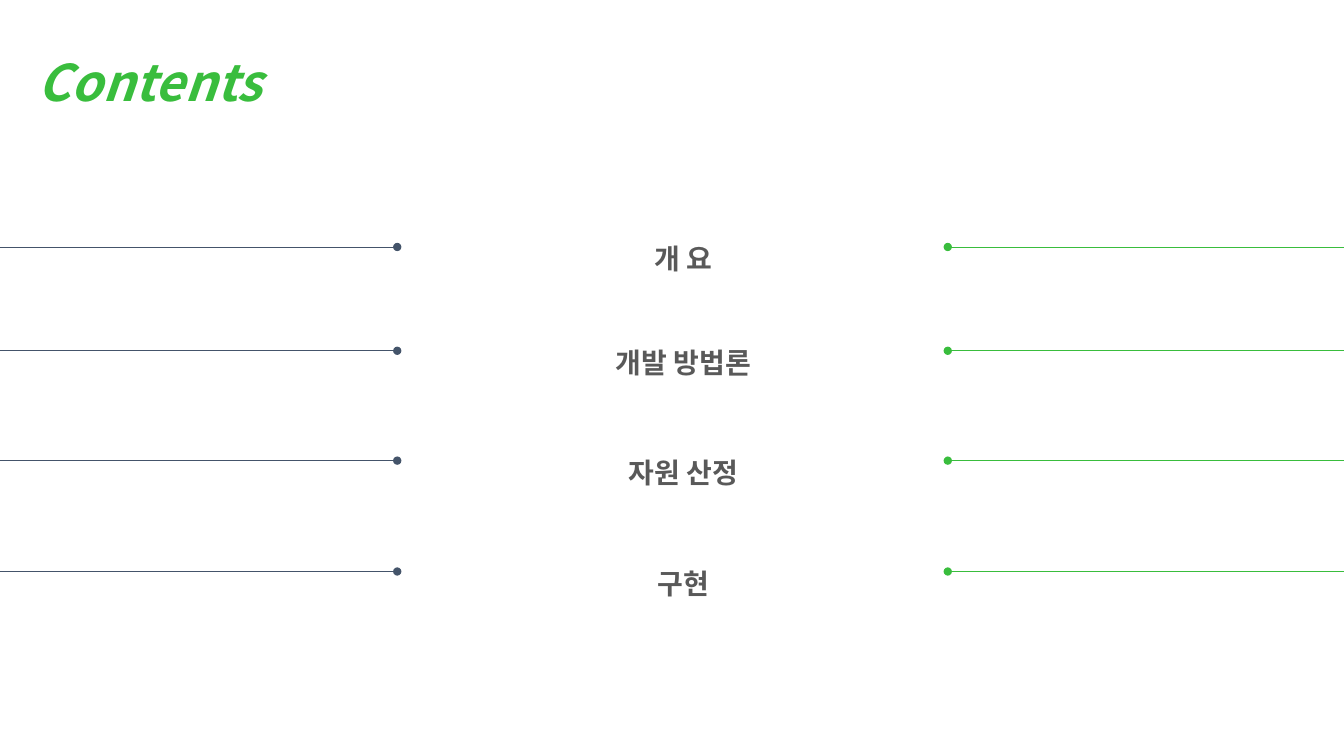
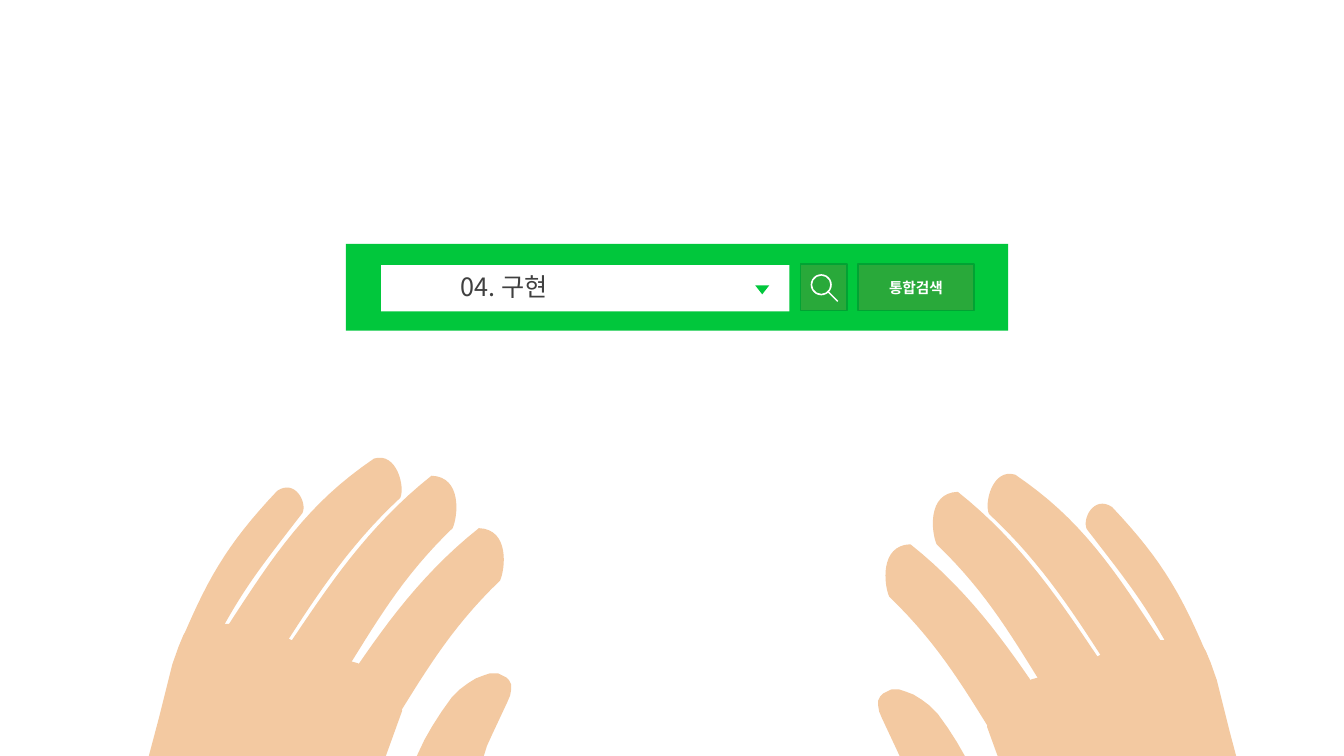
from dataclasses import dataclass

from lxml import etree
from pptx import Presentation
from pptx.dml.color import RGBColor
from pptx.enum.shapes import MSO_CONNECTOR, MSO_SHAPE
from pptx.enum.text import MSO_ANCHOR, MSO_AUTO_SIZE, PP_ALIGN
from pptx.oxml.ns import qn
from pptx.util import Pt

PX = 9144
SLIDE_W, SLIDE_H = 1333, 750
TITLE_ONLY = 5
STRAIGHT = MSO_CONNECTOR.STRAIGHT
RECT, DONUT, TRIANGLE = MSO_SHAPE.RECTANGLE, MSO_SHAPE.DONUT, MSO_SHAPE.ISOSCELES_TRIANGLE
TOP, MIDDLE = MSO_ANCHOR.TOP, MSO_ANCHOR.MIDDLE
LEFT, CENTER = PP_ALIGN.LEFT, PP_ALIGN.CENTER
GROW = MSO_AUTO_SIZE.SHAPE_TO_FIT_TEXT


@dataclass(frozen=True)
class Theme:
    font: str = "Noto Sans CJK KR"
    white: str = "FFFFFF"
    accent: str = "39BD3D"
    navy: str = "44546A"
    label: str = "595959"
    query: str = "404040"
    bar: str = "01C73C"
    button: str = "29A93A"
    button_edge: str = "01A333"
    skin: str = "F3C9A1"
    title_size: float = 36
    label_size: float = 20
    query_size: float = 18
    button_size: float = 10.5
    rule_width: float = 0.5
    edge_width: float = 1


THEME = Theme()

TOPICS = [("개 요", 245), ("개발 방법론", 348), ("자원 산정", 457), ("구현", 567)]

POINTER = [
    [(428, 472)],
    [(364, 523), (326, 581), (285, 642)],
    [(339, 672)],
    [(372, 620), (397, 574), (449, 524)],
    [(454, 513), (459, 473), (428, 472)],
]
RING = [
    [(371, 455)],
    [(306, 499), (273, 548), (224, 624)],
    [(276, 650)],
    [(309, 599), (343, 544), (397, 494)],
    [(402, 484), (394, 448), (371, 455)],
]
LITTLE = [
    [(275, 487)],
    [(223, 542), (204, 578), (177, 643)],
    [(214, 635)],
    [(243, 582), (256, 566), (300, 509)],
    [(305, 499), (293, 475), (275, 487)],
]
THUMB = [
    (373, 887), (420, 847), (451, 819), (457, 813), (466, 795), (483, 740),
    (488, 729), (503, 697), (506, 690), (507, 684), (507, 679), (505, 675),
    (502, 672), (498, 670), (494, 668), (486, 668), (480, 670), (472, 673),
    (464, 678), (456, 684), (448, 692), (438, 706), (429, 720), (421, 734),
    (412, 753), (405, 770), (356, 806),
]
PALM = [
    (177, 642), (182, 630), (187, 622), (194, 618), (223, 619), (259, 620),
    (289, 635), (326, 646), (344, 655), (355, 658), (369, 668), (387, 688),
    (396, 695), (399, 705), (382, 752), (379, 771), (382, 780), (412, 775),
    (422, 788), (404, 828), (398, 848), (372, 886), (345, 912), (314, 922),
    (292, 952), (285, 968), (247, 966), (204, 947), (158, 924), (123, 899),
    (122, 878), (127, 864), (135, 807), (145, 760), (158, 711), (165, 683),
    (171, 659),
]
KNUCKLE_SHIFT = (47, 52)
MIRROR_SUM, MIRROR_DROP = 1378, 16


def rgb(color):
    return RGBColor.from_string(color)


def emu(*lengths):
    return [round(length * PX) for length in lengths]


def write(shape, text, size, color, bold=False, italic=False, align=CENTER,
          anchor=TOP, spacing=None):
    frame = shape.text_frame
    frame.text = text
    frame.word_wrap = True
    frame.vertical_anchor = anchor
    paragraph = frame.paragraphs[0]
    paragraph.alignment = align
    if spacing:
        paragraph.line_spacing = spacing
    for run in paragraph.runs:
        font = run.font
        font.size, font.bold, font.italic = Pt(size), bold, italic
        font.color.rgb = rgb(color)
        font.name = THEME.font
        east_asian = etree.SubElement(run.font._element, qn("a:ea"))
        east_asian.set("typeface", THEME.font)


def place_title(slide, box, text, size, color, **style):
    title = slide.shapes.title
    title.left, title.top, title.width, title.height = emu(*box)
    write(title, text, size, color, **style)
    title.text_frame.auto_size = GROW
    slide.shapes._spTree.append(title._element)


def add_label(shapes, box, text):
    label = shapes.add_textbox(*emu(*box))
    write(label, text, THEME.label_size, THEME.label, bold=True, spacing=1.5)
    label.text_frame.auto_size = GROW


def add_line(shapes, start, end, color, width, dot=False):
    line = shapes.add_connector(STRAIGHT, *emu(*start, *end))
    line.line.color.rgb = rgb(color)
    line.line.width = Pt(width)
    if dot:
        head = etree.SubElement(line.line._get_or_add_ln(), qn("a:headEnd"))
        head.set("type", "oval")
    etree.SubElement(line._element.spPr, qn("a:effectLst"))


def paint(shape, fill, edge=None):
    shape.shadow.inherit = False
    shape.fill.solid()
    shape.fill.fore_color.rgb = rgb(fill)
    if edge:
        shape.line.color.rgb = rgb(edge)
        shape.line.width = Pt(THEME.edge_width)
    else:
        shape.line.fill.background()


def add_block(shapes, box, fill, kind=RECT, edge=None):
    block = shapes.add_shape(kind, *emu(*box))
    paint(block, fill, edge)
    return block


def add_outline(shapes, points):
    corners = [tuple(emu(*point)) for point in points]
    builder = shapes.build_freeform(*corners[0])
    builder.add_line_segments(corners[1:], close=True)
    paint(builder.convert_to_shape(), THEME.skin)


def bezier(p0, p1, p2, p3, t):
    u = 1 - t
    return tuple(
        u**3 * a + 3 * u * u * t * b + 3 * u * t * t * c + t**3 * d
        for a, b, c, d in zip(p0, p1, p2, p3)
    )


def trace(segments, steps=16):
    points = []
    for segment in segments:
        if len(segment) == 1:
            points += segment
        else:
            start = points[-1]
            points += [bezier(start, *segment, i / steps) for i in range(1, steps + 1)]
    return points


def add_hand(shapes, mirrored):
    pointer = trace(POINTER)
    dx, dy = KNUCKLE_SHIFT
    index = [(x + dx, y + dy) for x, y in pointer]
    for part in (pointer, trace(RING), index, trace(LITTLE), THUMB, PALM):
        if mirrored:
            part = [(MIRROR_SUM - x, y + MIRROR_DROP) for x, y in part]
        add_outline(shapes, part)


def add_search_icon(shapes):
    icon = shapes.add_group_shape().shapes
    add_block(icon, (794, 262, 46, 46), THEME.button, edge=THEME.button_edge)
    lens = add_block(icon, (804, 272, 21, 21), THEME.white, DONUT)
    lens.adjustments[0] = 0.07
    add_line(icon, (821, 289), (831, 299), THEME.white, THEME.edge_width)


def add_search_bar(shapes):
    add_block(shapes, (343, 242, 657, 86), THEME.bar)
    add_block(shapes, (378, 263, 405, 46), THEME.white)
    button = add_block(shapes, (851, 262, 115, 46), THEME.button, edge=THEME.button_edge)
    write(button, "통합검색", THEME.button_size, THEME.white, bold=True, anchor=MIDDLE)
    add_search_icon(shapes)
    arrow = add_block(shapes, (749, 283, 14, 9), THEME.bar, TRIANGLE)
    arrow.rotation = 180


def build_contents(slide):
    place_title(slide, (8, 16, 281, 89), "Contents", THEME.title_size, THEME.accent,
                bold=True, italic=True, spacing=1.5)
    for topic, y in TOPICS:
        add_line(slide.shapes, (394, y), (0, y), THEME.navy, THEME.rule_width, dot=True)
        add_line(slide.shapes, (940, y), (SLIDE_W, y), THEME.accent, THEME.rule_width, dot=True)
        add_label(slide.shapes, (562, y - 27, 232, 54), topic)


def build_section(slide):
    for mirrored in (True, False):
        add_hand(slide.shapes, mirrored)
    add_search_bar(slide.shapes)
    place_title(slide, (447, 264, 246, 40), "04. 구현", THEME.query_size, THEME.query,
                align=LEFT)


def main():
    deck = Presentation()
    deck.slide_width, deck.slide_height = emu(SLIDE_W, SLIDE_H)
    for build in (build_contents, build_section):
        build(deck.slides.add_slide(deck.slide_layouts[TITLE_ONLY]))
    deck.save("out.pptx")


if __name__ == "__main__":
    main()
